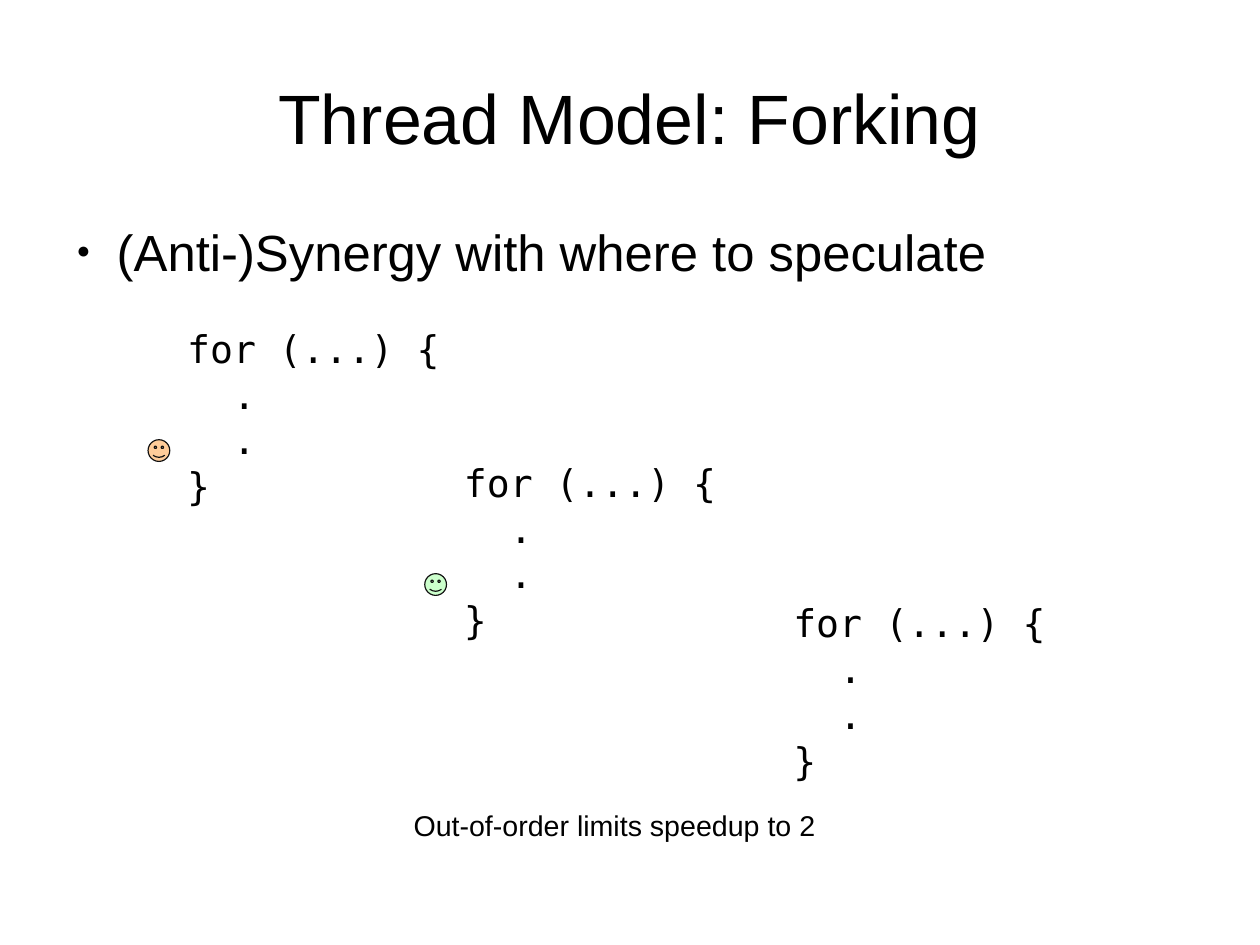
from pptx import Presentation
from pptx import util as u
from pptx.dml.color import RGBColor
from pptx.enum import shapes, text
from pptx.oxml.ns import qn
from lxml import etree

WIDTH, HEIGHT = u.Cm(28), u.Cm(21)
COLOURS = {"ink": "000000", "outline": "111111", "orange": "FFCC99", "green": "CCFFCC"}
SANS, MONO = "Arial", "DejaVu Sans Mono"
CODE_LINES = [("for (...) {", 0), (".", 2), (".", 2), ("}", 0)]
CODE_SIZE, MONO_ADVANCE = 24, 0.6
CODE_WIDTH, CODE_HEIGHT = 26.13, 28.05
LOOPS = [(13.97, 33.82, "orange"), (35.93, 48, "green"), (62.07, 62.88, None)]


def colour(name):
    """Return a palette colour by name."""
    return RGBColor.from_string(COLOURS[name])


def share(left, top, width, height):
    """Turn percentages of the slide into a box of lengths."""
    return tuple(int(part * whole / 100) for part, whole in
                 zip((left, top, width, height), (WIDTH, HEIGHT) * 2))


def add_span(para, words, size, font):
    """Add one formatted run to a paragraph."""
    span = para.add_run()
    span.text = words
    span.font.size = u.Pt(size)
    span.font.name = font
    span.font.color.rgb = colour("ink")


def fill_placeholder(holder, box, words, size):
    """Move a placeholder into its box and write its text without insets."""
    holder.left, holder.top, holder.width, holder.height = box
    frame = holder.text_frame
    frame.margin_left = frame.margin_right = frame.margin_top = frame.margin_bottom = 0
    frame.word_wrap = True
    frame.auto_size = text.MSO_AUTO_SIZE.NONE
    para = frame.paragraphs[0]
    add_span(para, words, size, SANS)
    return para


def add_title(page, box):
    """Write the centred title."""
    para = fill_placeholder(page.shapes.title, box, "Thread Model: Forking", 44)
    para.alignment = text.PP_ALIGN.CENTER
    page.shapes.title.text_frame.vertical_anchor = text.MSO_ANCHOR.MIDDLE


def add_body(page, box):
    """Write the bulleted statement."""
    para = fill_placeholder(page.placeholders[1], box,
                            "(Anti-)Synergy with where to speculate", 32)
    para.space_before = u.Pt(14.1)
    props = para._p.get_or_add_pPr()
    props.set("marL", str(u.Inches(0.47)))
    props.set("indent", str(u.Inches(-0.35)))
    bullet_colour = etree.SubElement(props, qn("a:buClr"))
    etree.SubElement(bullet_colour, qn("a:srgbClr"), val=COLOURS["ink"])
    etree.SubElement(props, qn("a:buSzPct"), val="45000")
    etree.SubElement(props, qn("a:buFont"), typeface=SANS)
    etree.SubElement(props, qn("a:buChar"), char="●")


def add_lines(page, box, lines, size, font):
    """Write lines of text, each indented by a number of characters."""
    frame = page.shapes.add_textbox(*box).text_frame
    frame.word_wrap = True
    for index, (words, indent) in enumerate(lines):
        para = frame.add_paragraph() if index else frame.paragraphs[0]
        if indent:
            margin = u.Pt(indent * size * MONO_ADVANCE)
            para._p.get_or_add_pPr().set("marL", str(margin))
        add_span(para, words, size, font)


def add_loop(page, box, thread):
    """Write one loop and mark its end with the face of a thread."""
    add_lines(page, box, CODE_LINES, CODE_SIZE, MONO)
    if thread:
        left, top, width, height = box
        side = int(width * 0.066)
        face = page.shapes.add_shape(shapes.MSO_SHAPE.SMILEY_FACE, int(left - width * 0.085),
                                     int(top + height * 0.453), side, side)
        face.shadow.inherit = False
        face.fill.solid()
        face.fill.fore_color.rgb = colour(thread)
        face.line.color.rgb = colour("outline")
        face.line.width = u.Pt(0)


def main():
    """Build the deck and save it."""
    deck = Presentation()
    deck.slide_width, deck.slide_height = WIDTH, HEIGHT
    page = deck.slides.add_slide(deck.slide_layouts[1])
    add_title(page, share(5, 4, 90, 16.7))
    add_body(page, share(5, 23.34, 90, 57.92))
    for left, top, thread in LOOPS:
        add_loop(page, share(left, top, CODE_WIDTH, CODE_HEIGHT), thread)
    add_lines(page, share(31.94, 84.85, 36.93, 6.05),
              [("Out-of-order limits speedup to 2", 0)], 18, SANS)
    deck.save("out.pptx")


if __name__ == "__main__":
    main()
